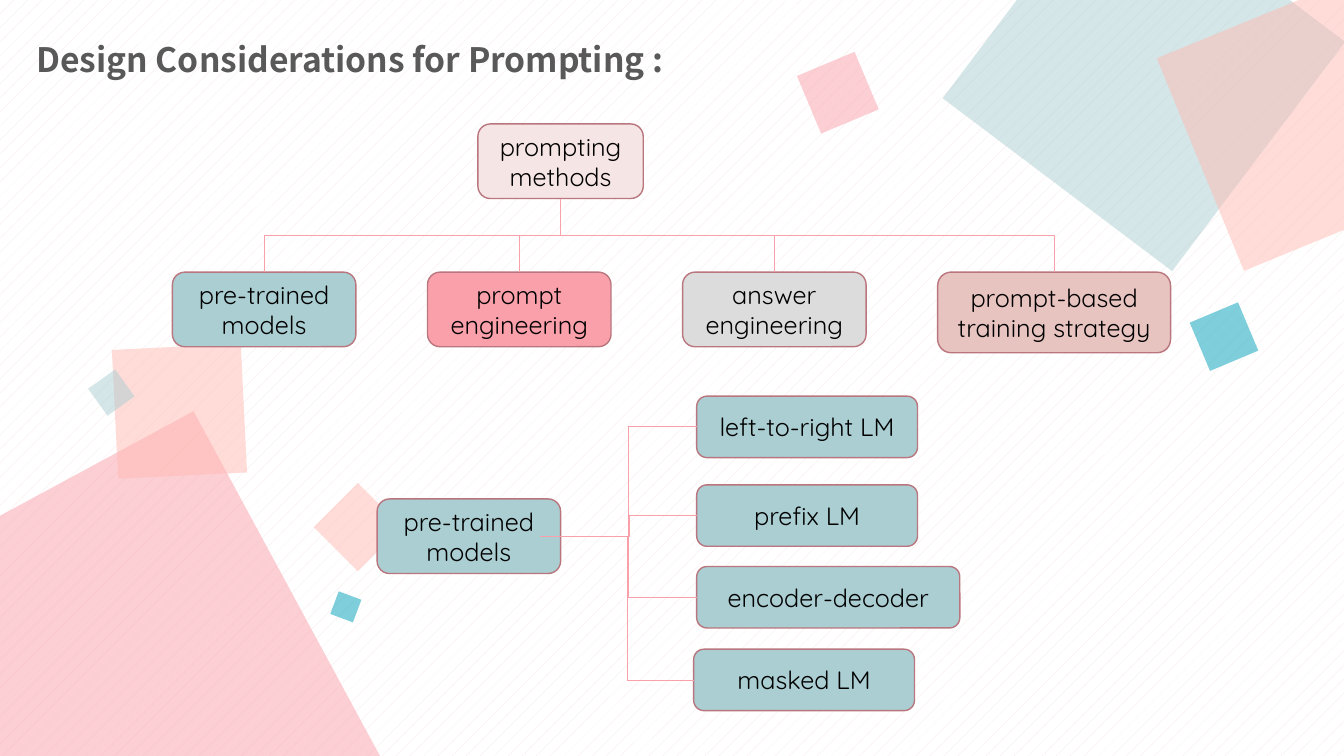
import pptx
import pptx.util
import pptx.dml.color
import pptx.enum.dml
import pptx.enum.shapes
import pptx.enum.text
import pptx.oxml.ns
from lxml import etree

Inches = pptx.util.Inches
Pt = pptx.util.Pt
RGB = pptx.dml.color.RGBColor.from_string
SHAPES = pptx.enum.shapes.MSO_SHAPE
qn = pptx.oxml.ns.qn

COLORS = {
    "pink": "FAA0AA", "peach": "FFBBB3", "mist": "AACED2", "teal": "009FB8",
    "blush": "F5E5E4", "grey": "DCDCDC", "rose": "E8C4C1", "outline": "B9767E",
    "heading": "595959", "ink": "000000", "white": "FFFFFF",
}

prs = pptx.Presentation()
prs.slide_width = Inches(13.33)
prs.slide_height = Inches(7.5)
slide = prs.slides.add_slide(prs.slide_layouts[5])

backdrop = slide.background.fill
backdrop.patterned()
backdrop.pattern = pptx.enum.dml.MSO_PATTERN.PERCENT_5
backdrop.fore_color.rgb = RGB(COLORS["blush"])
backdrop.back_color.rgb = RGB(COLORS["white"])

confetti = [
    (-0.93, 4.8, 4.06, 331.6, "pink"),
    (1.14, 3.44, 1.28, 357.2, "peach"),
    (3.24, 4.92, 0.62, 315, "peach"),
    (0.94, 3.73, 0.33, 324.4, "mist"),
    (9.92, -0.73, 2.85, 37, "mist"),
    (11.82, 0.06, 2.28, 337.7, "peach"),
    (8, 0.61, 0.62, 337.2, "pink"),
    (11.88, 3.08, 0.52, 337.2, "teal"),
    (3.31, 5.9, 0.24, 290.5, "teal"),
]
for left, top, side, angle, color in confetti:
    square = slide.shapes.add_shape(
        SHAPES.RECTANGLE, Inches(left), Inches(top), Inches(side), Inches(side))
    square.rotation = angle
    square.shadow.inherit = False
    square.line.fill.background()
    square.fill.solid()
    square.fill.fore_color.rgb = RGB(COLORS[color])
    tint = square.fill._xPr.find(".//" + qn("a:srgbClr"))
    etree.SubElement(tint, qn("a:alpha"), val="50000")

heading = slide.shapes.title
heading.element.getparent().append(heading.element)
heading.left, heading.top = Inches(0.26), Inches(0.05)
heading.width, heading.height = Inches(13.15), Inches(0.87)
heading.text_frame.text = "Design Considerations for Prompting :"
heading.text_frame.auto_size = pptx.enum.text.MSO_AUTO_SIZE.NONE
heading.text_frame.vertical_anchor = pptx.enum.text.MSO_ANCHOR.MIDDLE
heading_line = heading.text_frame.paragraphs[0]
heading_line.alignment = pptx.enum.text.PP_ALIGN.LEFT
heading_line.line_spacing = 1.5
heading_font = heading_line.runs[0].font
heading_font.name = "Noto Sans CJK SC"
heading_font.size = Pt(24)
heading_font.bold = True
heading_font.color.rgb = RGB(COLORS["heading"])


def add_node(label, left, top, width, height, color):
    node = slide.shapes.add_shape(
        SHAPES.ROUNDED_RECTANGLE, Inches(left), Inches(top), Inches(width), Inches(height))
    node.shadow.inherit = False
    node.fill.solid()
    node.fill.fore_color.rgb = RGB(COLORS[color])
    node.line.color.rgb = RGB(COLORS["outline"])
    node.line.width = Pt(1)
    node.text_frame.word_wrap = True
    node.text_frame.vertical_anchor = pptx.enum.text.MSO_ANCHOR.MIDDLE
    node.text_frame.text = label
    paragraph = node.text_frame.paragraphs[0]
    paragraph.alignment = pptx.enum.text.PP_ALIGN.CENTER
    font = paragraph.runs[0].font
    font.name = "Quicksand"
    font.size = Pt(18)
    font.color.rgb = RGB(COLORS["ink"])
    return node


def add_branch(parent, parent_side, child, child_side):
    branch = slide.shapes.add_connector(
        pptx.enum.shapes.MSO_CONNECTOR.ELBOW, 0, 0, 0, 0)
    branch.begin_connect(parent, parent_side)
    branch.end_connect(child, child_side)
    branch.line.color.rgb = RGB(COLORS["pink"])
    branch.line.width = Pt(0.5)
    etree.SubElement(branch.element.spPr, qn("a:effectLst"))
    return branch


methods = add_node("prompting methods", 4.74, 1.23, 1.64, 0.74, "blush")
considerations = [
    ("pre-trained models", 1.82, 0.74, "mist"),
    ("prompt engineering", 1.82, 0.74, "pink"),
    ("answer engineering", 1.82, 0.74, "grey"),
    ("prompt-based training strategy", 2.31, 0.8, "rose"),
]
for column, (label, width, height, color) in enumerate(considerations):
    consideration = add_node(label, 1.71 + 2.53 * column, 2.7, width, height, color)
    branch = add_branch(methods, 2, consideration, 0)
    start_x, start_y = branch.begin_x, branch.begin_y
    end_x, end_y = branch.end_x, branch.end_y
    drop, reach = end_y - start_y, abs(end_x - start_x)
    xfrm = branch.element.spPr.find(qn("a:xfrm"))
    for flip in ("flipH", "flipV"):
        xfrm.attrib.pop(flip, None)
    branch.left = (start_x + end_x - drop) // 2
    branch.top = (start_y + end_y - reach) // 2
    branch.width, branch.height = drop, reach
    if end_x < start_x:
        xfrm.set("rot", "5400000")
    else:
        xfrm.set("rot", "16200000")
        xfrm.set("flipH", "1")

pretrained = add_node("pre-trained models", 3.74, 4.95, 1.82, 0.74, "mist")
language_models = [
    ("left-to-right LM", 6.91, 3.93, 2.19),
    ("prefix LM", 6.91, 4.81, 2.19),
    ("encoder-decoder", 6.91, 5.62, 2.61),
    ("masked LM", 6.88, 6.44, 2.19),
]
for label, left, top, width in language_models:
    model = add_node(label, left, top, width, 0.61, "mist")
    branch = add_branch(pretrained, 3, model, 1)
    if label == "prefix LM":
        branch.element.nvCxnSpPr.cNvCxnSpPr.remove(
            branch.element.nvCxnSpPr.cNvCxnSpPr.stCxn)
        branch.begin_x = Inches(5.36)
        bends = branch.element.spPr.find(".//" + qn("a:avLst"))
        etree.SubElement(bends, qn("a:gd"), name="adj1", fmla="val 57100")

prs.save("out.pptx")
